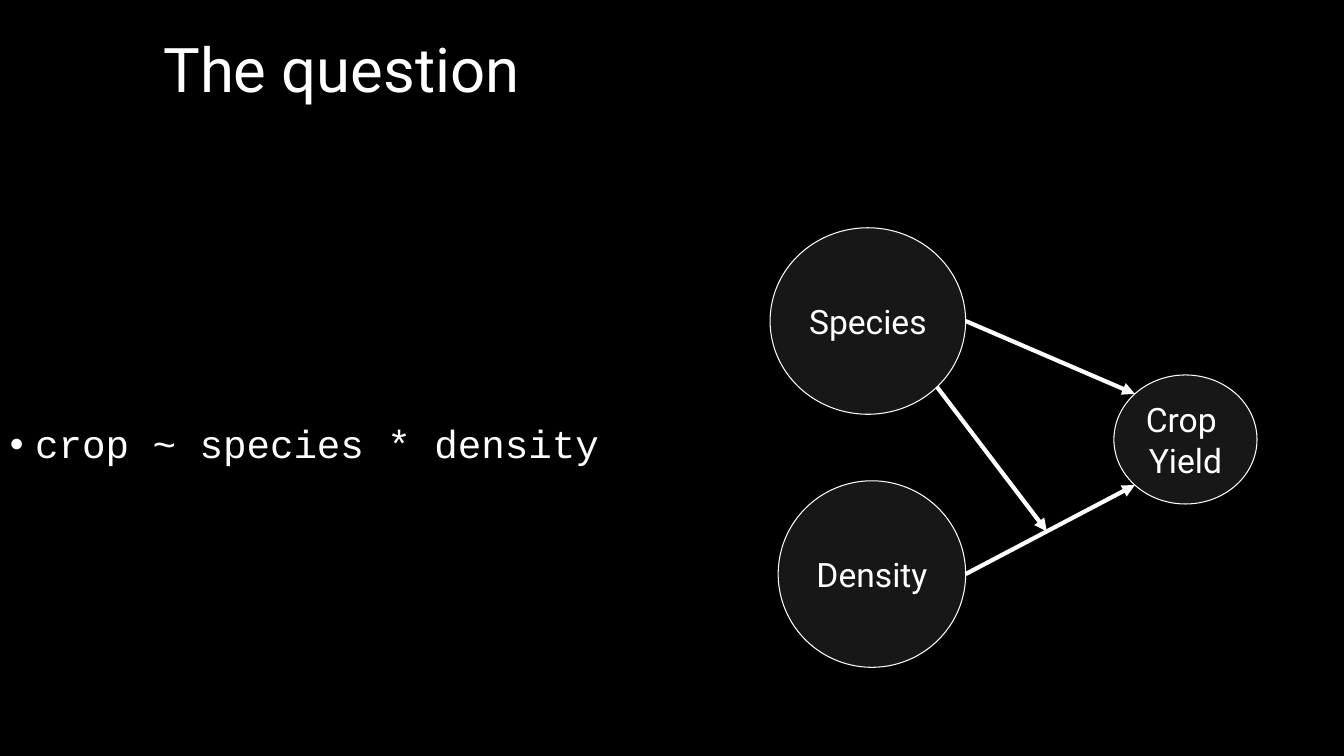
from math import cos, pi, sin

from pptx import Presentation
from pptx.dml.color import RGBColor
from pptx.enum.shapes import MSO_CONNECTOR as CONN, MSO_SHAPE as SHAPE
from pptx.enum.text import MSO_ANCHOR as ANCHOR, PP_ALIGN as ALIGN
from pptx.oxml.ns import qn
from pptx.util import Inches, Pt
from lxml.etree import SubElement

WHITE, BLACK, NODE = "FFFFFF", "000000", "171717"

prs = Presentation()
prs.slide_width, prs.slide_height = Inches(13.33), Inches(7.5)
COL, ROW = prs.slide_width / 100, prs.slide_height / 100
s = prs.slides.add_slide(prs.slide_layouts[6])


def paint(color, hex_color):
    """Set a fill, line or font colour from a hex string."""
    if hasattr(color, "solid"):
        color.solid()
        color = color.fore_color
    color.rgb = RGBColor.from_string(hex_color)


def write(p, text, size, font="Roboto"):
    r = p.add_run()
    r.text = text
    r.font.size, r.font.name = Pt(size), font
    paint(r.font.color, WHITE)


paint(s.background.fill, BLACK)

# Title and model formula
paragraphs = []
for top, width, height in [(0, 50.85, 19.33), (20.8, 53.33, 76.4)]:
    box = s.shapes.add_textbox(0, int(top * ROW), int(width * COL), int(height * ROW))
    tf = box.text_frame
    tf.word_wrap = True
    tf.vertical_anchor = ANCHOR.MIDDLE
    tf.paragraphs[0].line_spacing = 0.9
    paragraphs.append(tf.paragraphs[0])

title, formula = paragraphs
title.alignment = ALIGN.CENTER
write(title, "The question", 44)

pPr = formula._p.get_or_add_pPr()
pPr.set("marL", str(Inches(0.25)))
pPr.set("indent", str(-Inches(0.25)))
SubElement(pPr, qn("a:buFont"), typeface="Arial")
SubElement(pPr, qn("a:buChar"), char="•")
write(formula, "crop ~ species * density", 28, "Courier New")

# Nodes: left, top, width, height in columns and rows
nodes = {
    "crop": (["Crop ", "Yield"], 82.88, 49.6, 10.65, 17.07),
    "species": (["Species"], 57.3, 30.13, 14.55, 24.67),
    "density": (["Density"], 57.9, 63.6, 13.95, 24.67),
}
for lines, left, top, width, height in nodes.values():
    sp = s.shapes.add_shape(SHAPE.OVAL, int(left * COL), int(top * ROW),
                            int(width * COL), int(height * ROW))
    sp.shadow.inherit = False
    paint(sp.fill, NODE)
    paint(sp.line.fill, WHITE)
    sp.line.width = Pt(0.75)
    tf = sp.text_frame
    tf.word_wrap = False
    tf.vertical_anchor = ANCHOR.MIDDLE
    p = tf.paragraphs[0]
    p.alignment = ALIGN.CENTER
    for i, line in enumerate(lines):
        if i:
            p.add_line_break()
        write(p, line, 24)


def rim(name, eighths):
    """Point on a node's outline, in eighths of a turn clockwise from the right."""
    _, left, top, width, height = nodes[name]
    angle = eighths * pi / 4
    return left + width / 2 * (1 + cos(angle)), top + height / 2 * (1 + sin(angle))


# Arrows: both effects on the crop, and the interaction near mid-arrow
density_out, crop_in = rim("density", 0), rim("crop", 3)
interaction = [a + 0.48 * (b - a) for a, b in zip(density_out, crop_in)]
arrows = [
    (rim("species", 0), rim("crop", 5)),
    (density_out, crop_in),
    (rim("species", 1), interaction),
]
for (x1, y1), (x2, y2) in arrows:
    arrow = s.shapes.add_connector(CONN.STRAIGHT, int(x1 * COL), int(y1 * ROW),
                                   int(x2 * COL), int(y2 * ROW))
    paint(arrow.line.fill, WHITE)
    arrow.line.width = Pt(3)
    SubElement(arrow.line._get_or_add_ln(), qn("a:tailEnd"), type="triangle")
    SubElement(arrow._element.spPr, qn("a:effectLst"))

prs.save("out.pptx")
